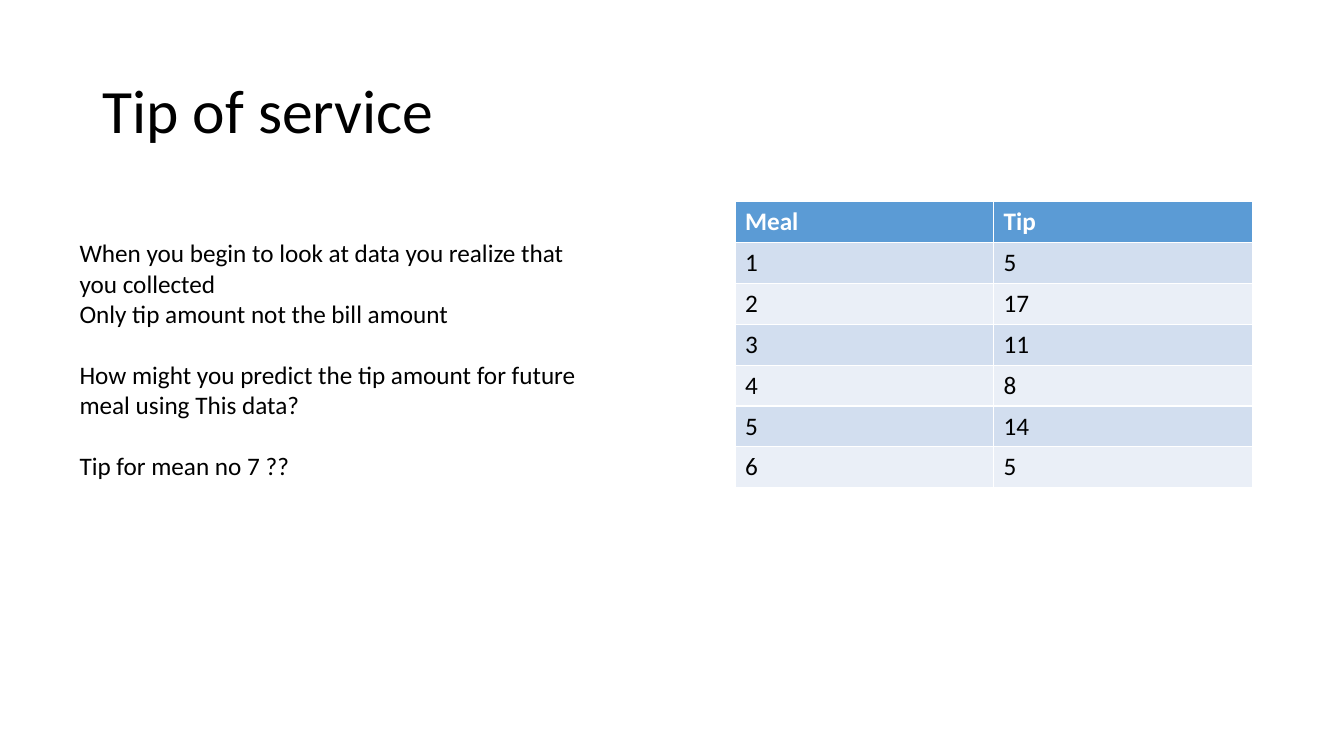
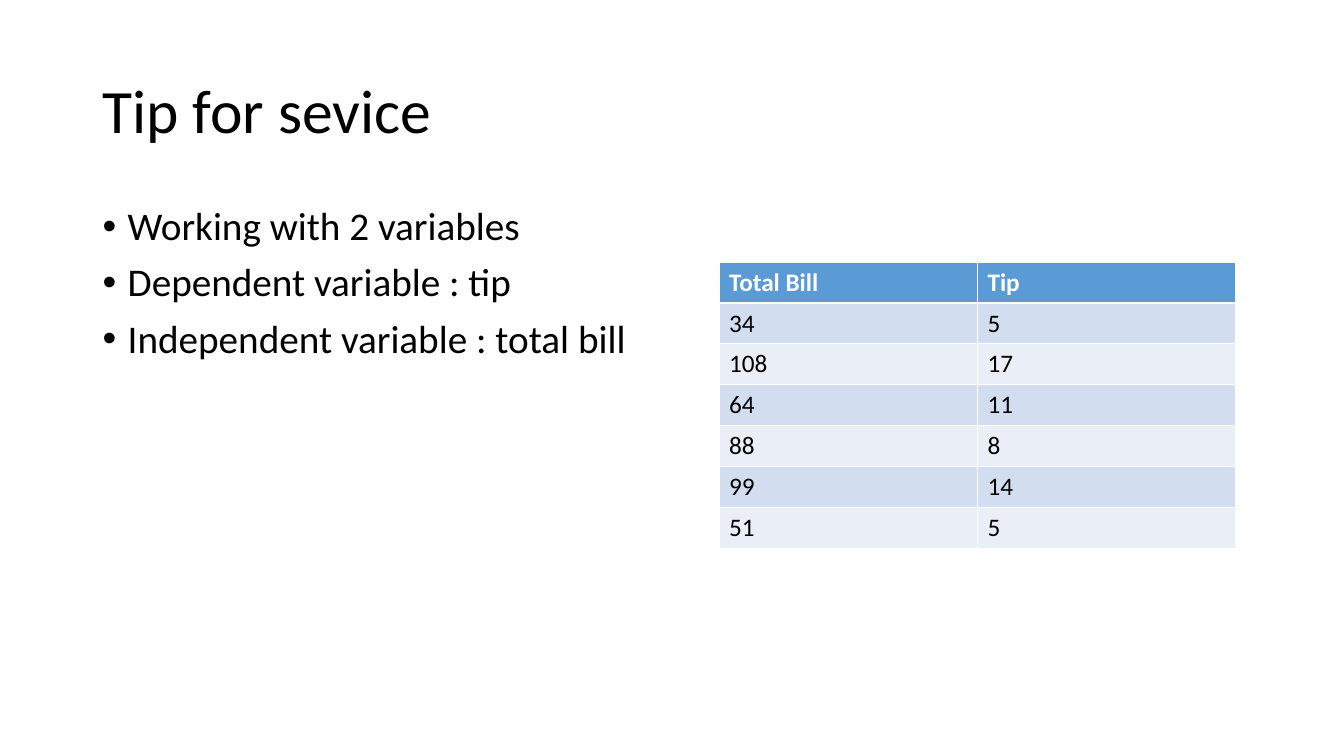
from pptx import Presentation
from pptx.dml.color import RGBColor
from pptx.enum.text import MSO_ANCHOR, MSO_AUTO_SIZE, PP_ALIGN
from pptx.util import Inches, Pt

COLORS = {"text": "000000", "header_text": "FFFFFF", "header": "5B9BD5",
          "odd_row": "D2DEEF", "even_row": "EAEFF7"}
FONT = "Calibri"
TITLE = {"size": Pt(44), "bold": False}
LIST = {"size": Pt(28), "bold": False}
PLAIN = {"size": Pt(18), "bold": False}
HEADER = {"size": Pt(18), "bold": True}
LINE_GAP = Pt(22)

# Frames are left, top, width, height in percent of the slide's size.
TITLE_FRAME = (6.88, 5.33, 86.25, 19.33)
LIST_FRAME = (6.88, 26.67, 86.25, 63.47)
QUESTION_FRAME = (5.18, 30.8, 39.31, 33.6)
TABLE_SIZE = (38.48, 37.87)

TIPS = [5, 17, 11, 8, 14, 5]
SLIDES = [
    {"title": "Tip of service", "layout": 5, "table_at": (54.69, 26.67),
     "header": "Meal", "values": [1, 2, 3, 4, 5, 6],
     "questions": [
         ("When you begin to look at data you realize that you collected", 0),
         ("Only tip amount not the bill amount", 0),
         ("How might you predict the tip amount for future meal using This data?", LINE_GAP),
         ("Tip for mean no 7 ??", LINE_GAP)]},
    {"title": "Tip for sevice", "layout": 1, "table_at": (53.49, 34.67),
     "header": "Total Bill", "values": [34, 108, 64, 88, 99, 51],
     "list": ["Working with 2 variables", "Dependent variable : tip",
              "Independent variable : total bill"]},
]

presentation = Presentation()
presentation.slide_width = Inches(13.33)
presentation.slide_height = Inches(7.5)


def to_lengths(frame):
    """Turn percentages of the slide into left, top, width and height."""
    sides = (presentation.slide_width, presentation.slide_height) * 2
    return [round(side * share / 100) for side, share in zip(sides, frame)]


def write(paragraph, text, style, color="text"):
    run = paragraph.add_run()
    run.text = str(text)
    run.font.name = FONT
    run.font.color.rgb = RGBColor.from_string(COLORS[color])
    for name, value in style.items():
        setattr(run.font, name, value)


for content in SLIDES:
    slide = presentation.slides.add_slide(presentation.slide_layouts[content["layout"]])

    # Title and list placeholders
    lines = {0: [content["title"]], 1: content.get("list", [])}
    formats = {0: (TITLE_FRAME, TITLE, MSO_ANCHOR.MIDDLE, 0),
               1: (LIST_FRAME, LIST, MSO_ANCHOR.TOP, Pt(10))}
    for shape in slide.placeholders:
        index = shape.placeholder_format.idx
        frame, style, anchor, space_before = formats[index]
        shape.left, shape.top, shape.width, shape.height = to_lengths(frame)
        text_frame = shape.text_frame
        text_frame.auto_size = MSO_AUTO_SIZE.NONE
        text_frame.vertical_anchor = anchor
        for number, line in enumerate(lines[index]):
            paragraph = text_frame.add_paragraph() if number else text_frame.paragraphs[0]
            paragraph.alignment = PP_ALIGN.LEFT
            paragraph.line_spacing = 0.9
            paragraph.space_before = space_before
            if index == 1:
                properties = paragraph._p.get_or_add_pPr()
                properties.set("marL", str(Inches(0.25)))
                properties.set("indent", str(-Inches(0.25)))
            write(paragraph, line, style)

    # Table of tips
    rows = [(content["header"], "Tip"), *zip(content["values"], TIPS)]
    table = slide.shapes.add_table(
        len(rows), 2, *to_lengths(content["table_at"] + TABLE_SIZE)).table
    for row_number, row in enumerate(rows):
        if row_number == 0:
            fill, style, color = "header", HEADER, "header_text"
        else:
            fill, style, color = "odd_row" if row_number % 2 else "even_row", PLAIN, "text"
        for column_number, value in enumerate(row):
            cell = table.cell(row_number, column_number)
            cell.fill.solid()
            cell.fill.fore_color.rgb = RGBColor.from_string(COLORS[fill])
            write(cell.text_frame.paragraphs[0], value, style, color)

    # Free text beside the table
    if "questions" in content:
        text_frame = slide.shapes.add_textbox(*to_lengths(QUESTION_FRAME)).text_frame
        text_frame.word_wrap = True
        for number, (line, gap) in enumerate(content["questions"]):
            paragraph = text_frame.add_paragraph() if number else text_frame.paragraphs[0]
            paragraph.space_before = gap
            write(paragraph, line, PLAIN)

presentation.save("out.pptx")
